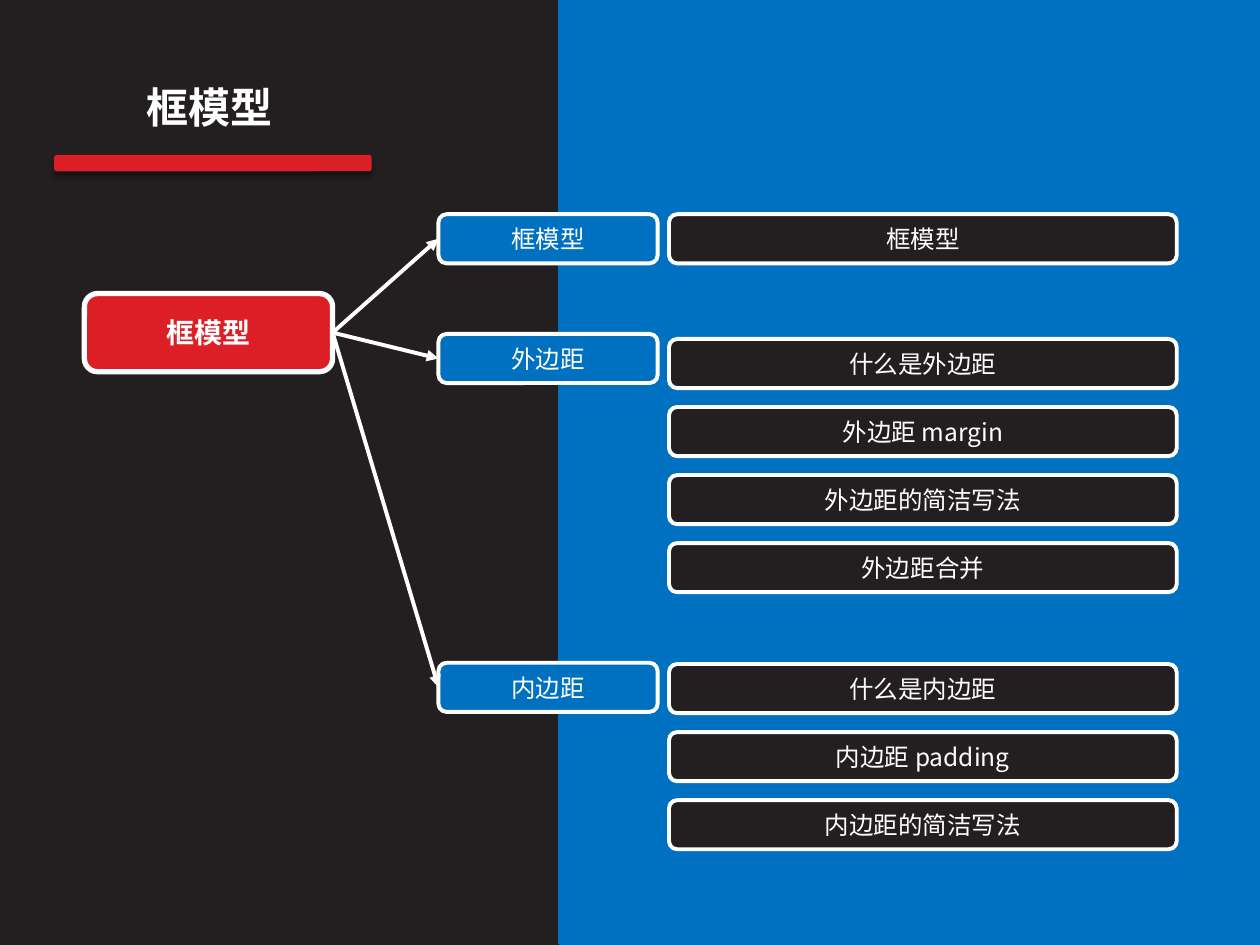
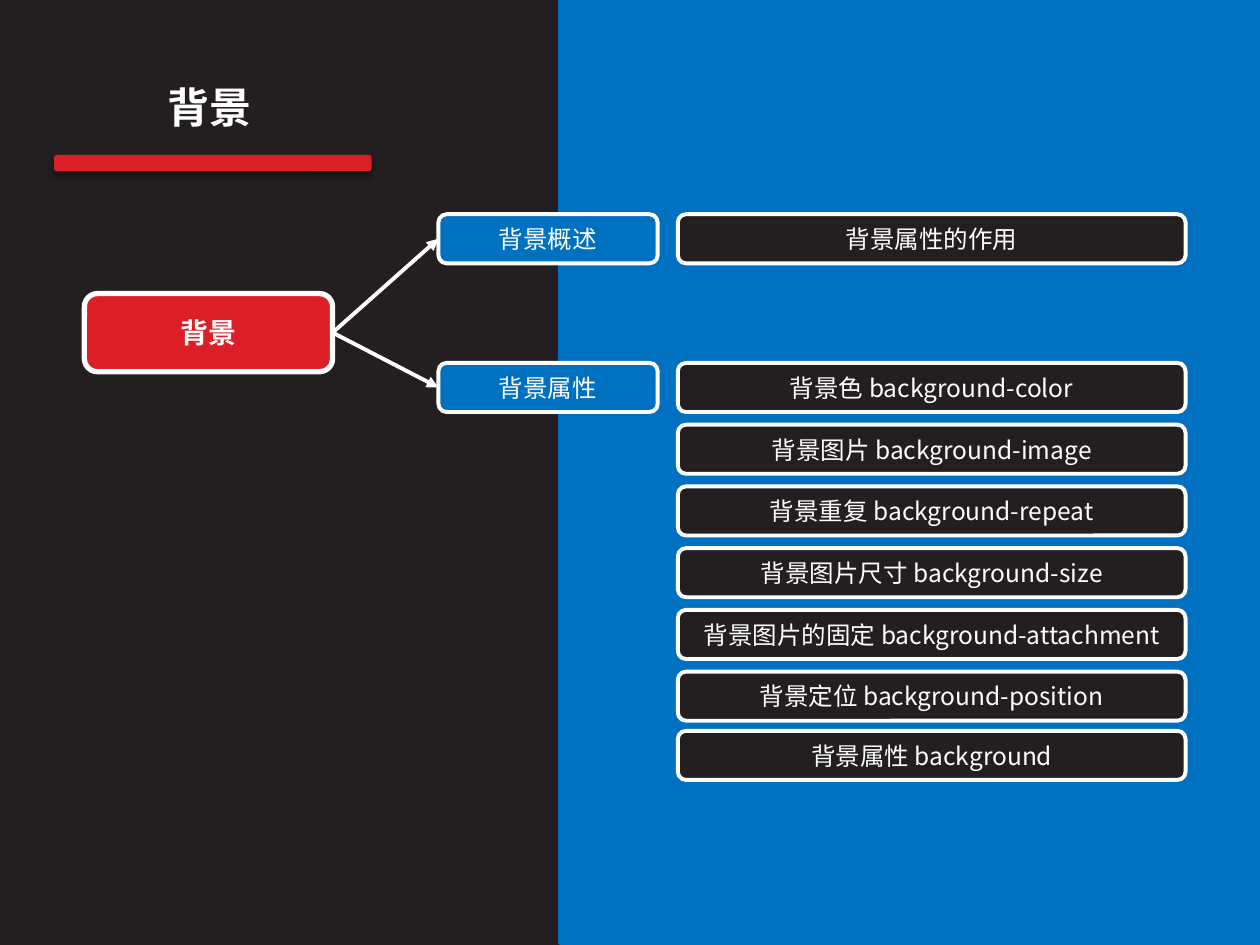
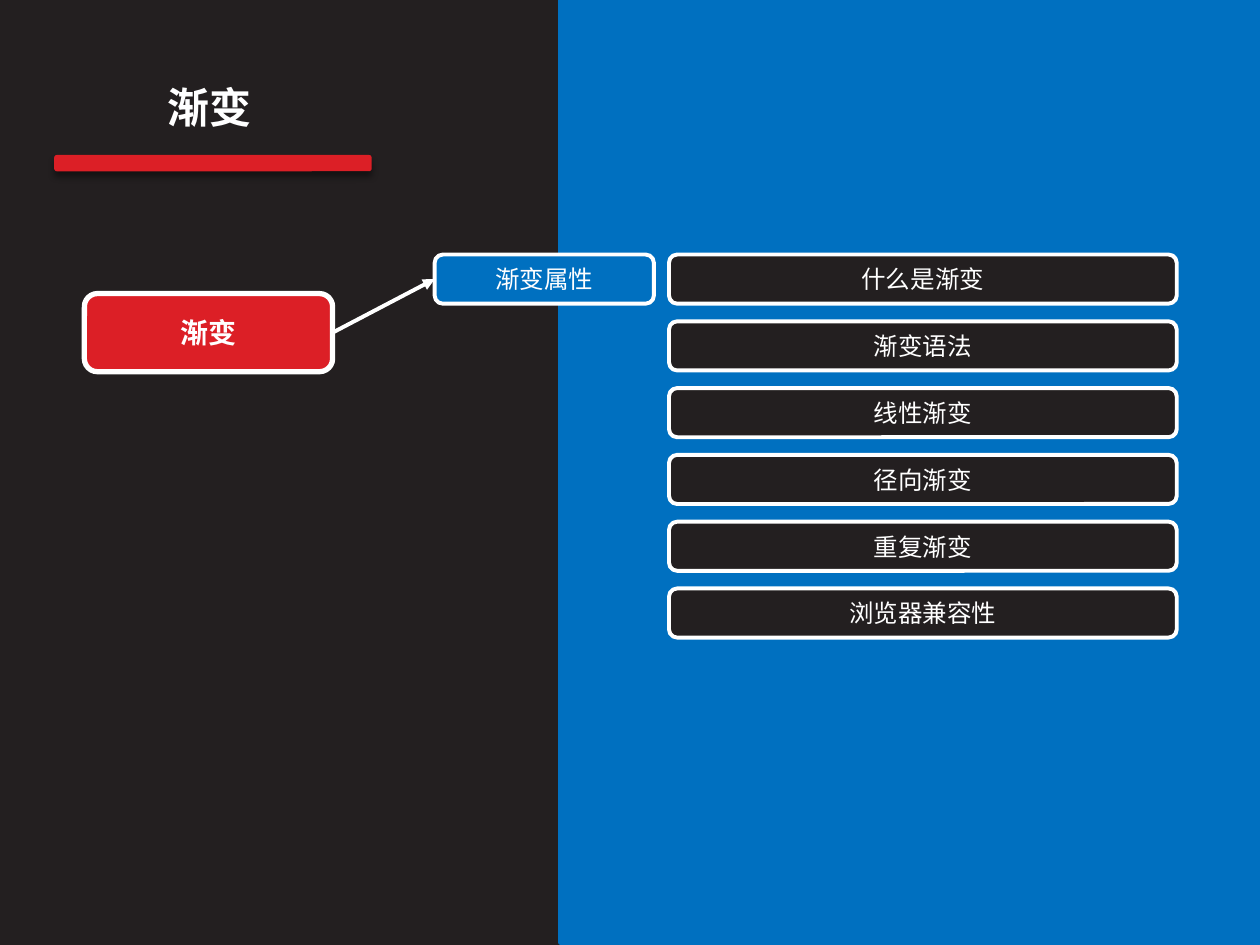
from pptx import Presentation
from pptx.dml.color import RGBColor
from pptx.enum.dml import MSO_LINE
from pptx.enum.shapes import MSO_CONNECTOR, MSO_SHAPE
from pptx.enum.text import MSO_ANCHOR, PP_ALIGN
from pptx.oxml import parse_xml
from pptx.oxml.ns import nsdecls, qn
from pptx.util import Inches, Pt
from lxml import etree

# Enum members
RECTANGLE = MSO_SHAPE.RECTANGLE
ROUNDED = MSO_SHAPE.ROUNDED_RECTANGLE
STRAIGHT = MSO_CONNECTOR.STRAIGHT
SOLID = MSO_LINE.SOLID
CENTER = PP_ALIGN.CENTER
MIDDLE = MSO_ANCHOR.MIDDLE
TOP = MSO_ANCHOR.TOP

# Theme
DARK = RGBColor(0x23, 0x1F, 0x20)
BLUE = RGBColor(0x00, 0x70, 0xC0)
RED = RGBColor(0xDC, 0x1F, 0x26)
WHITE = RGBColor(0xFF, 0xFF, 0xFF)
FONT = "Noto Sans CJK SC"

# Map geometry, in inches
ROOT_BOX = (0.67, 2.33, 1.97, 0.62)
BRANCH_WIDTH = 1.74
TOPIC_WIDTH = 4.03
ROW_HEIGHT = 0.39
LEFT_SITE, RIGHT_SITE = 1, 3

# Each group: branch label, branch top, top of first topic, topics.
# A group without a label continues the branch above it.
MAPS = [
    {
        "title": "框模型", "branch_left": 3.48, "topic_left": 5.31, "pitch": 0.54,
        "groups": [
            ("框模型", 1.7, 1.7, ["框模型"]),
            ("外边距", 2.65, 2.69,
             ["什么是外边距", "外边距 margin", "外边距的简洁写法", "外边距合并"]),
            ("内边距", 5.26, 5.27,
             ["什么是内边距", "内边距 padding", "内边距的简洁写法"]),
        ],
    },
    {
        "title": "背景", "branch_left": 3.48, "topic_left": 5.38, "pitch": 0.49,
        "groups": [
            ("背景概述", 1.7, 1.7, ["背景属性的作用"]),
            ("背景属性", 2.88, 2.88,
             ["背景色 background-color", "背景图片 background-image",
              "背景重复 background-repeat", "背景图片尺寸 background-size",
              "背景图片的固定 background-attachment",
              "背景定位 background-position"]),
            (None, None, 5.8, ["背景属性 background"]),
        ],
    },
    {
        "title": "渐变", "branch_left": 3.45, "topic_left": 5.31, "pitch": 0.53,
        "groups": [
            ("渐变属性", 2.02, 2.02,
             ["什么是渐变", "渐变语法", "线性渐变", "径向渐变", "重复渐变",
              "浏览器兼容性"]),
        ],
    },
]


def write_text(shape, text, size=14, bold=False, color=WHITE, anchor=MIDDLE):
    """Put one centred paragraph of formatted text in a shape."""
    frame = shape.text_frame
    frame.word_wrap = True
    frame.vertical_anchor = anchor
    paragraph = frame.paragraphs[0]
    paragraph.alignment = CENTER
    run = paragraph.add_run()
    run.text = text
    font = run.font
    font.size = Pt(size)
    font.bold = bold
    font.color.rgb = color
    font.name = FONT
    etree.SubElement(run._r.get_or_add_rPr(), qn("a:ea")).set("typeface", FONT)


def add_box(shapes, box, fill, kind=ROUNDED, line=None, line_width=2.25):
    shape = shapes.add_shape(kind, *map(Inches, box))
    shape.shadow.inherit = False
    shape.fill.solid()
    shape.fill.fore_color.rgb = fill
    if line is None:
        shape.line.fill.background()
    else:
        shape.line.color.rgb = line
        shape.line.width = Pt(line_width)
    return shape


def add_label_box(shapes, box, text, fill, line_width=2.25, **text_format):
    shape = add_box(shapes, box, fill, line=WHITE, line_width=line_width)
    write_text(shape, text, **text_format)
    return shape


def add_arrow(shapes, start, end):
    """Join the right side of one box to the left side of another."""
    arrow = shapes.add_connector(STRAIGHT, 0, 0, 0, 0)
    arrow.begin_connect(start, RIGHT_SITE)
    arrow.end_connect(end, LEFT_SITE)
    arrow.line.color.rgb = WHITE
    arrow.line.width = Pt(2.25)
    arrow.line.dash_style = SOLID
    etree.SubElement(arrow.line._get_or_add_ln(), qn("a:tailEnd")).set("type", "triangle")
    etree.SubElement(arrow._element.spPr, qn("a:effectLst"))


def add_shadow(shape):
    """Give a shape a soft shadow straight below it."""
    effects = shape._element.spPr.find(qn("a:effectLst"))
    effects.append(parse_xml(
        f'<a:outerShdw {nsdecls("a")} blurRad="{Pt(4)}" dist="{Pt(3)}" '
        'dir="5400000" algn="t" rotWithShape="0">'
        '<a:srgbClr val="000000"><a:alpha val="43000"/></a:srgbClr>'
        '</a:outerShdw>'))


def add_heading(slide, text):
    """Group the slide title with the red bar below it."""
    shapes = slide.shapes.add_group_shape().shapes
    title = shapes.add_textbox(*map(Inches, (0.28, 0.6, 2.77, 0.71)))
    write_text(title, text, size=24, bold=True, anchor=TOP)
    add_shadow(add_box(shapes, (0.43, 1.23, 2.52, 0.13), RED))


def add_map_slide(presentation, title, branch_left, topic_left, pitch, groups):
    slide = presentation.slides.add_slide(presentation.slide_layouts[6])
    shapes = slide.shapes

    # Blue panel, heading and root
    add_box(shapes, (4.45, 0, 5.55, 7.48), BLUE, kind=RECTANGLE,
            line=BLUE, line_width=3)
    add_heading(slide, title)
    root = add_label_box(shapes, ROOT_BOX, title, RED, line_width=3,
                         size=16, bold=True)

    # Branches with their topics
    for label, branch_top, topic_top, topics in groups:
        if label:
            box = (branch_left, branch_top, BRANCH_WIDTH, ROW_HEIGHT)
            add_arrow(shapes, root, add_label_box(shapes, box, label, BLUE))
        for row, topic in enumerate(topics):
            box = (topic_left, topic_top + row * pitch, TOPIC_WIDTH, ROW_HEIGHT)
            add_label_box(shapes, box, topic, DARK)


def main():
    presentation = Presentation()
    presentation.slide_width = Inches(10)
    presentation.slide_height = Inches(7.5)
    background = presentation.slide_master.background.fill
    background.solid()
    background.fore_color.rgb = DARK
    for content in MAPS:
        add_map_slide(presentation, **content)
    presentation.save("out.pptx")


main()
